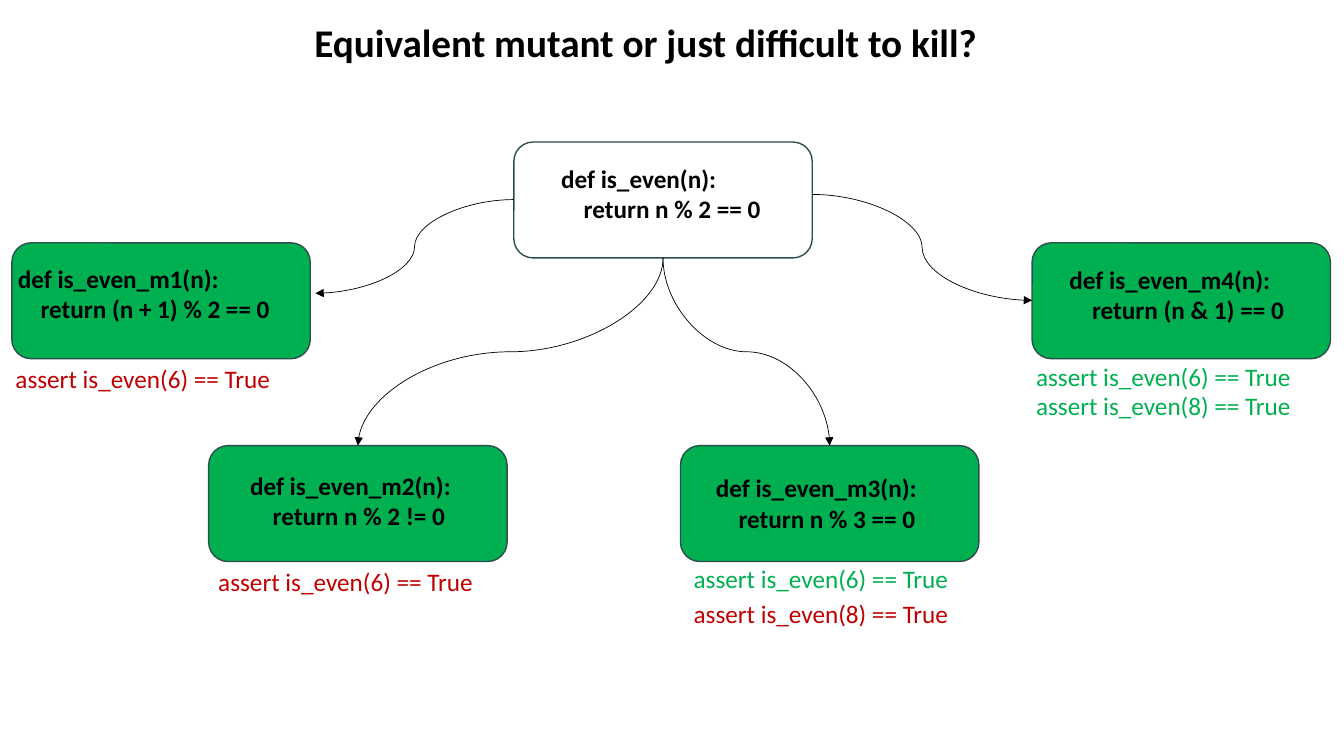
from dataclasses import dataclass

from lxml import etree
from pptx import Presentation
from pptx.dml.color import RGBColor
from pptx.enum import shapes, text
from pptx.oxml import ns
from pptx.util import Cm, Pt


@dataclass(frozen=True)
class Theme:
    font: str = "Calibri"
    title_size: Pt = Pt(28)
    code_size: Pt = Pt(18)
    ink: RGBColor = RGBColor(0, 0, 0)
    white: RGBColor = RGBColor(255, 255, 255)
    green: RGBColor = RGBColor(0x00, 0xB0, 0x50)
    red: RGBColor = RGBColor(0xC0, 0x00, 0x00)
    outline: RGBColor = RGBColor(0x2D, 0x4E, 0x4D)
    outline_width: Pt = Pt(1)
    arrow_width: Pt = Pt(0.5)


THEME = Theme()
BOX_WIDTH, BOX_HEIGHT = Cm(7.52), Cm(2.92)
CODE_INDENT = Cm(0.57)


def style_paragraph(paragraph, size, color, bold=False):
    paragraph.alignment = text.PP_ALIGN.LEFT
    font = paragraph.font
    font.name, font.size, font.bold = THEME.font, size, bold
    font.color.rgb = color


def set_title(slide, wording):
    title = slide.shapes.title
    title.left, title.top, title.width, title.height = Cm(7.67), Cm(0.33), Cm(20.78), Cm(1.45)
    frame = title.text_frame
    frame.text = wording
    frame.auto_size = text.MSO_AUTO_SIZE.NONE
    frame.vertical_anchor = text.MSO_ANCHOR.TOP
    style_paragraph(frame.paragraphs[0], THEME.title_size, THEME.ink, bold=True)


def add_code_box(slide, left, top, inset_left, inset_top, fill, signature, body):
    box = slide.shapes.add_shape(
        shapes.MSO_SHAPE.ROUNDED_RECTANGLE, Cm(left), Cm(top), BOX_WIDTH, BOX_HEIGHT
    )
    box.shadow.inherit = False
    box.fill.solid()
    box.fill.fore_color.rgb = fill
    box.line.color.rgb = THEME.outline
    box.line.width = THEME.outline_width
    frame = box.text_frame
    frame.word_wrap = True
    frame.vertical_anchor = text.MSO_ANCHOR.TOP
    frame.margin_left, frame.margin_top = Cm(inset_left), Cm(inset_top)
    frame.margin_right = frame.margin_bottom = 0
    frame.text = f"{signature}\n{body}"
    for paragraph in frame.paragraphs:
        style_paragraph(paragraph, THEME.code_size, THEME.ink, bold=True)
    body_properties = frame.paragraphs[1]._p.get_or_add_pPr()
    body_properties.set("marL", str(CODE_INDENT))
    body_properties.set("indent", "0")
    return box


def add_assertion(slide, left, top, argument, color):
    label = slide.shapes.add_textbox(Cm(left), Cm(top), Cm(7.4), Cm(1.02))
    frame = label.text_frame
    frame.word_wrap = True
    frame.text = f"assert is_even({argument}) == True"
    style_paragraph(frame.paragraphs[0], THEME.code_size, color)


def add_curve(slide, begin_x, begin_y, end_x, end_y):
    curve = slide.shapes.add_connector(
        shapes.MSO_CONNECTOR.CURVE, int(begin_x), int(begin_y), int(end_x), int(end_y)
    )
    curve.line.color.rgb = THEME.ink
    curve.line.width = THEME.arrow_width
    etree.SubElement(curve.line._get_or_add_ln(), ns.qn("a:tailEnd"), type="triangle")
    etree.SubElement(curve._element.spPr, ns.qn("a:effectLst"))
    return curve


def add_downward_curve(slide, source, target):
    begin_x, begin_y = source.left + source.width / 2, source.top + source.height
    end_x, end_y = target.left + target.width / 2, target.top
    center_x, center_y = (begin_x + end_x) / 2, (begin_y + end_y) / 2
    half_width, half_height = (end_y - begin_y) / 2, abs(end_x - begin_x) / 2
    to_right = end_x > begin_x
    side = half_width if to_right else -half_width
    curve = add_curve(
        slide,
        center_x + side, center_y - half_height,
        center_x - side, center_y + half_height,
    )
    degrees = 270 if to_right else 90
    curve._element.spPr.xfrm.set("rot", str(degrees * 60000))


def main():
    presentation = Presentation()
    presentation.slide_width, presentation.slide_height = Cm(33.87), Cm(19.05)
    slide = presentation.slides.add_slide(presentation.slide_layouts[5])
    set_title(slide, "Equivalent mutant or just difficult to kill?")

    function = add_code_box(
        slide, 12.95, 3.58, 1.05, 0.39, THEME.white, "def is_even(n):", "return n % 2 == 0"
    )
    mutants = [
        add_code_box(slide, left, top, inset_left, inset_top, THEME.green,
                     f"def is_even_m{number}(n):", f"return {result}")
        for number, (left, top, inset_left, inset_top, result) in enumerate([
            (0.3, 6.12, 0.01, 0.37, "(n + 1) % 2 == 0"),
            (5.26, 11.23, 0.9, 0.47, "n % 2 != 0"),
            (17.15, 11.23, 0.75, 0.54, "n % 3 == 0"),
            (26.01, 6.12, 0.8, 0.39, "(n & 1) == 0"),
        ], start=1)
    ]

    for left, top, argument, color in [
        (0.14, 9.04, 6, THEME.red),
        (5.25, 14.15, 6, THEME.red),
        (17.23, 14.07, 6, THEME.green),
        (17.23, 14.96, 8, THEME.red),
        (26.0 - 0.14, 8.99, 6, THEME.green),
        (26.0 - 0.14, 9.7, 8, THEME.green),
    ]:
        add_assertion(slide, left, top, argument, color)

    add_curve(slide, function.left, Cm(5.03), Cm(7.95), Cm(7.39))
    add_curve(slide, function.left + function.width, Cm(4.9), mutants[3].left, Cm(7.57))
    for mutant in mutants[1:3]:
        add_downward_curve(slide, function, mutant)

    presentation.save("out.pptx")


if __name__ == "__main__":
    main()
